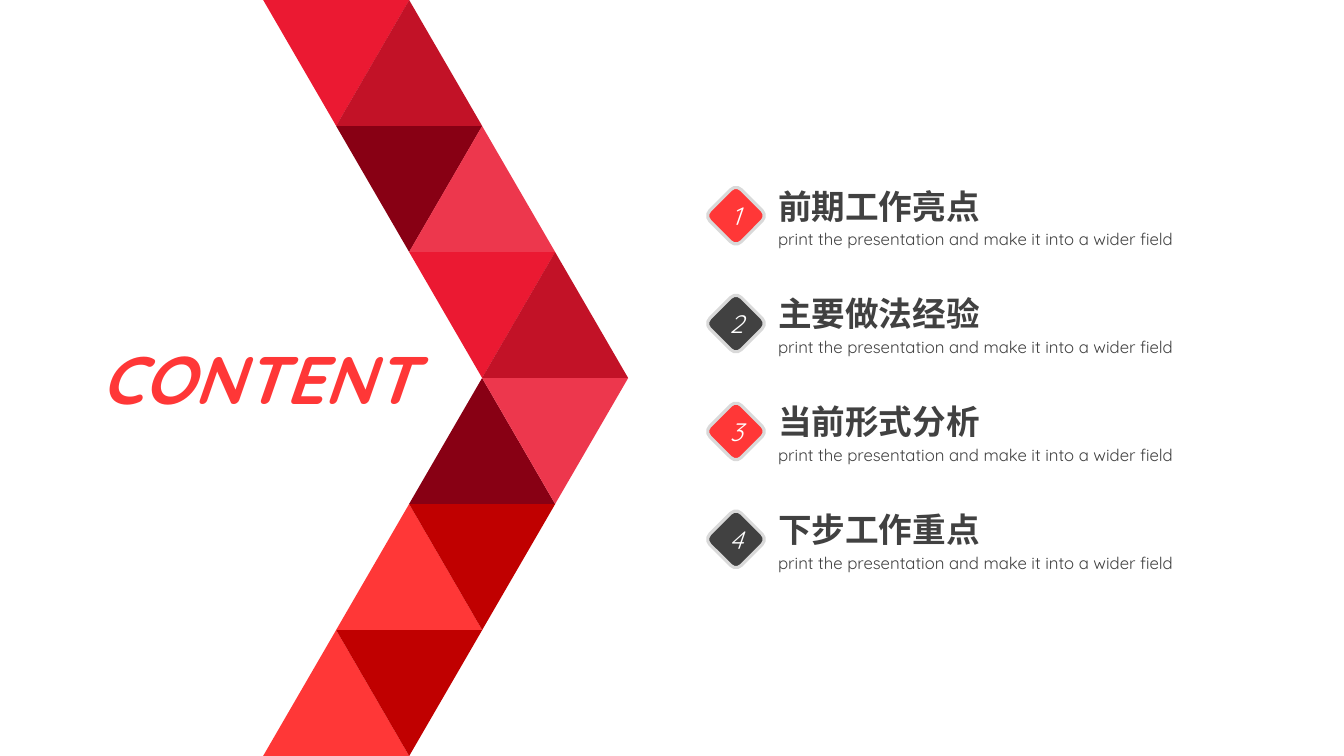
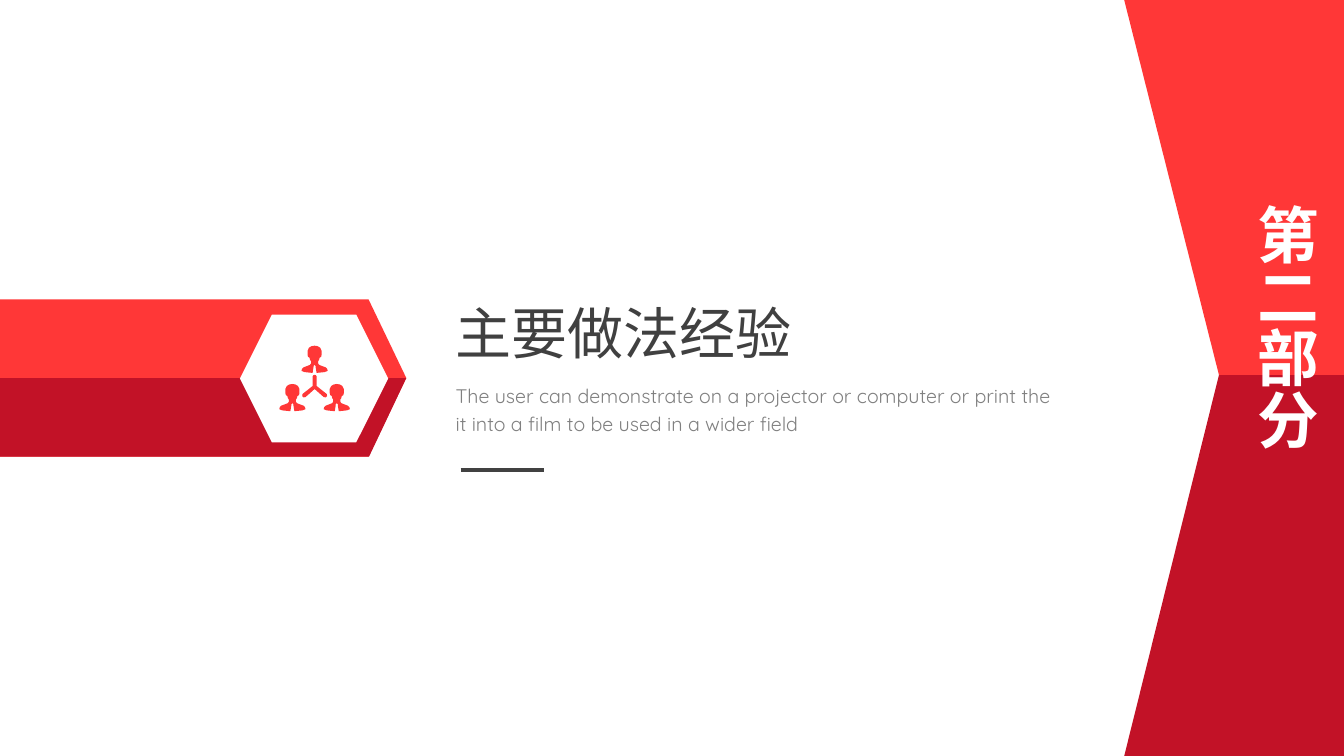
"""Build a contents slide and a section slide in a red theme."""
from dataclasses import dataclass

from pptx import Presentation
from pptx import util as u
from pptx.dml.color import RGBColor
from pptx.enum import shapes, text
from pptx.oxml import ns
from lxml import etree

KIND = shapes.MSO_SHAPE
ALIGN = text.PP_ALIGN


@dataclass(frozen=True)
class Theme:
    wide: float = 13.33
    high: float = 7.5
    latin: str = "Quicksand"
    asian: str = "Noto Sans CJK SC"
    red: str = "FF3737"
    deep: str = "C21227"
    wine: str = "880014"
    rose: str = "ED374D"
    cherry: str = "EB1932"
    brick: str = "C00000"
    dark: str = "414141"
    ink: str = "404040"
    grey: str = "808080"
    pale: str = "D9D9D9"
    white: str = "FFFFFF"
    banner: int = 48
    side: int = 44
    title: int = 40
    head: int = 24
    digit: int = 18
    body: int = 14
    note: int = 12


T = Theme()


def across(share):
    return u.Inches(T.wide * share / 100)


def down(share):
    return u.Inches(T.high * share / 100)


def frame(left, top, width, height):
    return across(left), down(top), across(width), down(height)


def paint(shape, fill, edge=None):
    shape.shadow.inherit = False
    shape.fill.solid()
    shape.fill.fore_color.rgb = RGBColor.from_string(fill)
    if edge:
        shape.line.color.rgb = RGBColor.from_string(edge)
        shape.line.width = u.Pt(2.25)
    else:
        shape.line.fill.background()


def block(slide, kind, area, fill, edge=None, turn=0, adjust=None):
    shape = slide.shapes.add_shape(kind, *frame(*area))
    paint(shape, fill, edge)
    shape.rotation = turn
    if adjust is not None:
        shape.adjustments[0] = adjust


def poly(slide, points, fill):
    spots = [(across(x), down(y)) for x, y in points]
    build = slide.shapes.build_freeform(*spots[0])
    build.add_line_segments(spots[1:], close=True)
    paint(build.convert_to_shape(), fill)


def write(slide, words, area, size, color, font=T.latin, bold=False,
          italic=False, align=None, space=None, wrap=True, upright=False):
    body = slide.shapes.add_textbox(*frame(*area)).text_frame
    body.word_wrap = wrap
    body.auto_size = text.MSO_AUTO_SIZE.SHAPE_TO_FIT_TEXT
    if upright:
        body._txBody.bodyPr.set("vert", "eaVert")
    para = body.paragraphs[0]
    para.alignment = align
    para.line_spacing = space
    run = para.add_run()
    run.text = words
    style = run.font
    style.name, style.size = font, u.Pt(size)
    style.bold, style.italic = bold, italic
    style.color.rgb = RGBColor.from_string(color)
    latin = run._r.rPr.find(ns.qn("a:latin"))
    east = etree.Element(ns.qn("a:ea"), typeface=T.asian)
    latin.addnext(east)


def rule(slide, start, end, level):
    line = slide.shapes.add_connector(
        shapes.MSO_CONNECTOR.STRAIGHT,
        across(start), down(level), across(end), down(level))
    line.line.color.rgb = RGBColor.from_string(T.dark)
    line.line.width = u.Pt(3)
    etree.SubElement(line._element.spPr, ns.qn("a:effectLst"))


def chevron(slide):
    pairs = [(T.cherry, T.deep), (T.wine, T.rose), (T.cherry, T.deep),
             (T.wine, T.rose), (T.red, T.brick), (T.red, T.brick)]
    count = len(pairs)
    high = 100 / count
    for row, pair in enumerate(pairs):
        first = min(row, count - 1 - row)
        upper = row < count // 2
        for side, fill in enumerate(pair):
            left = 19.58 + (first + side) * 5.43
            turn = 180 if upper == (side == 0) else 0
            block(slide, KIND.ISOSCELES_TRIANGLE,
                  (left, row * high, 10.87, high), fill, turn=turn)


def entry(slide, index, words):
    top = 23.87 + index * 14.27
    write(slide, words, (57.16, top, 28.5, 6.67), T.head, T.dark,
          font=T.asian, bold=True)
    write(slide, "print the presentation and make it into a wider field",
          (57.16, top + 5.2, 39.9, 4.27), T.note, T.dark, space=1.2)
    block(slide, KIND.ROUNDED_RECTANGLE, (53.11, top + 1.73, 3.3, 5.87),
          T.dark if index % 2 else T.red, edge=T.pale, turn=45)
    write(slide, str(index + 1), (53.49, top + 1.95, 2.55, 5.33), T.digit,
          T.white, italic=True, align=ALIGN.CENTER, wrap=False)


def mirror(slide, center, top, half):
    """Draw a symmetric outline from its right half, in hundredths of an inch."""
    left = [(-x, y) for x, y in reversed(half) if x]
    poly(slide, [(center + x / T.wide, top + y / T.high)
                 for x, y in half + left], T.red)


def team(slide):
    person = [(0, 0), (3, 0.5), (5.5, 2), (7, 5), (7, 9), (6.5, 11), (5, 12),
              (4.5, 14), (3.5, 15.5), (3.5, 17.5), (4.5, 19), (7, 20),
              (11, 21.5), (12.5, 23), (13, 25), (10, 26.2), (2, 27),
              (1, 21), (1, 20), (0, 19)]
    fork = [(0, 29), (1.2, 29.3), (2, 30.5), (2, 40), (12, 48),
            (12.3, 50), (11, 51.3), (9, 51), (0, 43)]
    for center, top in ((23.41, 45.73), (21.76, 50.8), (25.06, 50.8)):
        mirror(slide, center, top, person)
    mirror(slide, 23.41, 45.73, fork)


def contents(slide):
    chevron(slide)
    write(slide, "CONTENT", (6.75, 44, 30.9, 12.13), T.banner, T.red,
          bold=True, italic=True)
    names = ["前期工作亮点", "主要做法经验", "当前形式分析", "下步工作重点"]
    for index, words in enumerate(names):
        entry(slide, index, words)


def section(slide):
    block(slide, KIND.PENTAGON, (0, 39.6, 30.23, 20.8), T.red, adjust=0.24)
    poly(slide, [(0, 50), (30.23, 50), (27.46, 60.4), (0, 60.4)], T.deep)
    block(slide, KIND.HEXAGON, (17.85, 41.6, 11.03, 16.93), T.white)
    team(slide)
    write(slide, "The user can demonstrate on a projector or computer or print "
          "the it into a film to be used in a wider field",
          (33.16, 49.47, 46.06, 8.53), T.body, T.grey, space=1.2)
    write(slide, "主要做法经验", (33.16, 38.8, 26.78, 10.27), T.title, T.ink,
          wrap=False)
    rule(slide, 34.28, 40.51, 62.13)
    for edge, fill in ((100, T.deep), (0, T.red)):
        poly(slide, [(90.7, 49.6), (100, 49.6), (100, edge), (83.65, edge)],
             fill)
    write(slide, "第二部分", (91.75, 25.73, 7.05, 48.53), T.side, T.white,
          font=T.asian, bold=True, align=ALIGN.JUSTIFY, upright=True)


def main():
    deck = Presentation()
    deck.slide_width, deck.slide_height = across(100), down(100)
    for draw in (contents, section):
        draw(deck.slides.add_slide(deck.slide_layouts[6]))
    deck.save("out.pptx")


if __name__ == "__main__":
    main()
